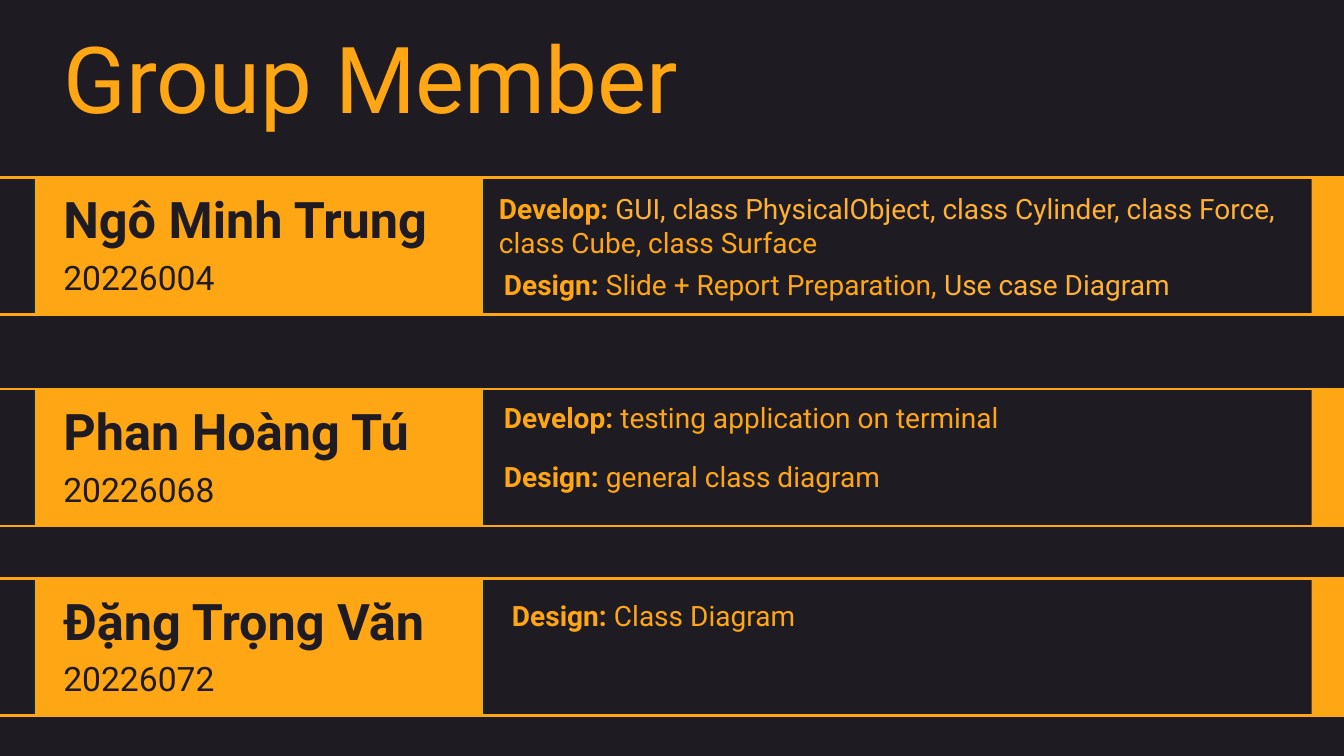
from dataclasses import dataclass

from pptx import Presentation
from pptx.dml.color import RGBColor
from pptx.enum.shapes import MSO_SHAPE as Shape
from pptx.enum.text import MSO_AUTO_SIZE as AutoSize
from pptx.util import Inches, Pt


@dataclass(frozen=True)
class Theme:
    font: str = "Roboto"
    dark: str = "1E1B22"
    amber: str = "FFA615"
    light_amber: str = "FFB133"
    edge: str = "092A39"
    title_size: int = 66
    name_size: int = 36
    number_size: int = 24
    task_size: int = 20


class SlideBuilder:
    def __init__(self, slide, theme):
        self.slide = slide
        self.theme = theme
        background = slide.background.fill
        background.solid()
        background.fore_color.rgb = RGBColor.from_string(theme.dark)

    def box(self, left, top, width, height, fill=None, line=None, weight=0):
        shape = self.slide.shapes.add_shape(
            Shape.RECTANGLE, Inches(left), Inches(top), Inches(width), Inches(height))
        shape.shadow.inherit = False
        if fill:
            shape.fill.solid()
            shape.fill.fore_color.rgb = RGBColor.from_string(fill)
        else:
            shape.fill.background()
        if line:
            shape.line.color.rgb = RGBColor.from_string(line)
            shape.line.width = Pt(weight)
        else:
            shape.line.fill.background()

    def text(self, left, top, width, height, text, size, color, bold=False):
        shape = self.slide.shapes.add_textbox(
            Inches(left), Inches(top), Inches(width), Inches(height))
        frame = shape.text_frame
        frame.word_wrap = True
        frame.auto_size = AutoSize.SHAPE_TO_FIT_TEXT
        paragraph = frame.paragraphs[0]
        paragraph.font.name = self.theme.font
        paragraph.font.size = Pt(size)
        paragraph.font.bold = bold
        paragraph.font.color.rgb = RGBColor.from_string(color)
        if text:
            paragraph.add_run().text = text
        return paragraph

    def task(self, left, top, width, height, label, parts):
        theme = self.theme
        paragraph = self.text(left, top, width, height, "", theme.task_size, theme.amber)
        for index, (words, color) in enumerate([(f"{label}: ", theme.amber), *parts]):
            run = paragraph.add_run()
            run.text = words
            run.font.bold = index == 0
            run.font.color.rgb = RGBColor.from_string(color)

    def member_band(self, top, name, number):
        theme = self.theme
        height = 1.36
        self.box(0.34, top, 4.46, height, theme.amber, theme.edge, 1.5)
        self.box(-0.29, top, 13.83, height, line=theme.amber, weight=2)
        self.box(13.01, top, 0.34, height, theme.amber)
        self.text(0.53, top + 0.06, 4.14, 0.71, name, theme.name_size, theme.dark, True)
        self.text(0.53, top + 0.74, 4.46, 0.5, number, theme.number_size, theme.dark)


def main():
    presentation = Presentation()
    presentation.slide_width = Inches(13.33)
    presentation.slide_height = Inches(7.5)
    theme = Theme()
    amber, light = theme.amber, theme.light_amber
    builder = SlideBuilder(
        presentation.slides.add_slide(presentation.slide_layouts[6]), theme)

    builder.text(0.53, 0.16, 8.04, 1.21, "Group Member", theme.title_size, amber)

    members = [
        (1.76, "Ngô Minh Trung", "20226004"),
        (3.86, "Phan Hoàng Tú", "20226068"),
        (5.74, "Đặng Trọng Văn", "20226072"),
    ]
    for member in members:
        builder.member_band(*member)

    tasks = [
        (4.85, 1.85, 7.96, 0.77, "Develop", [
            ("GUI, class PhysicalObject, class Cylinder, class Force, ", light),
            ("class Cube, class Surface", amber)]),
        (4.9, 2.6, 7.64, 0.44, "Design", [
            ("Slide + Report Preparation, ", amber),
            ("Use case Diagram", light)]),
        (4.9, 3.92, 7.9, 0.44, "Develop", [("testing application on terminal", amber)]),
        (4.9, 4.51, 8.32, 0.44, "Design", [("general class diagram", amber)]),
        (4.98, 5.89, 7.9, 0.44, "Design", [("Class Diagram", amber)]),
    ]
    for task in tasks:
        builder.task(*task)

    presentation.save("out.pptx")


if __name__ == "__main__":
    main()
